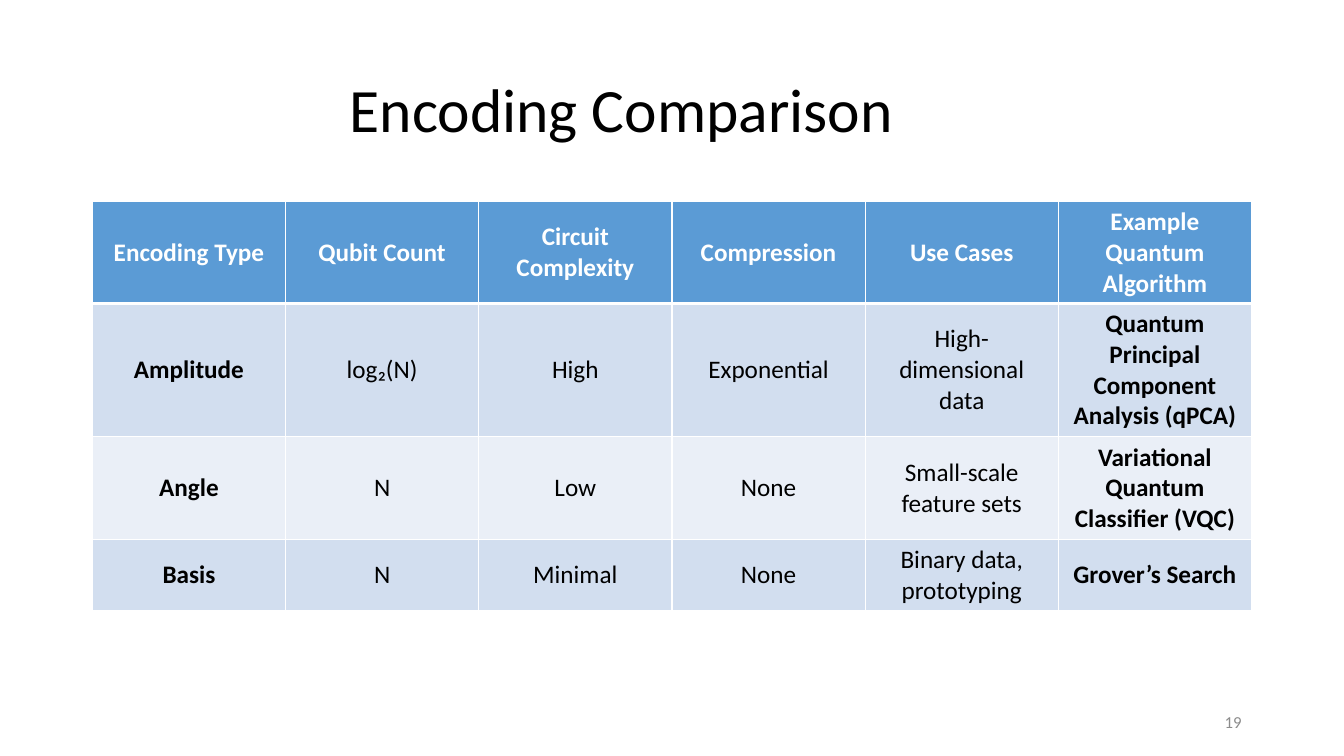
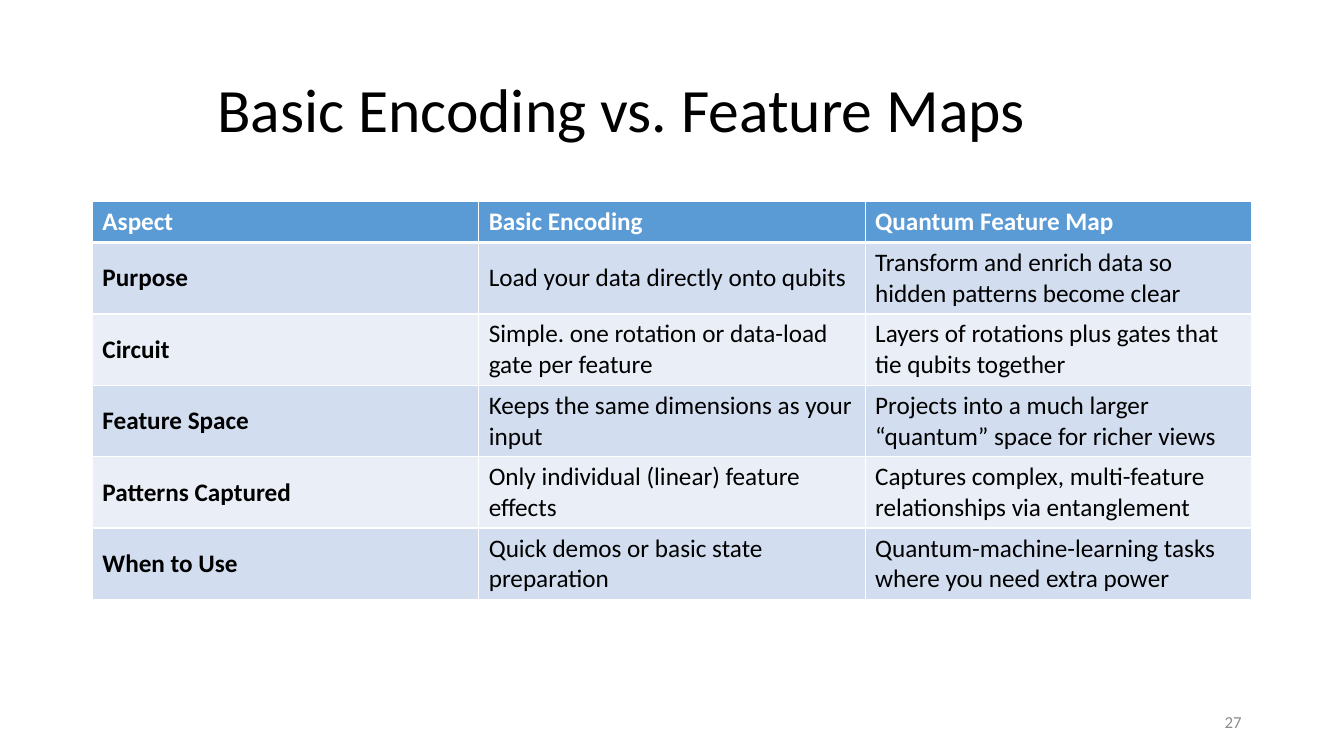
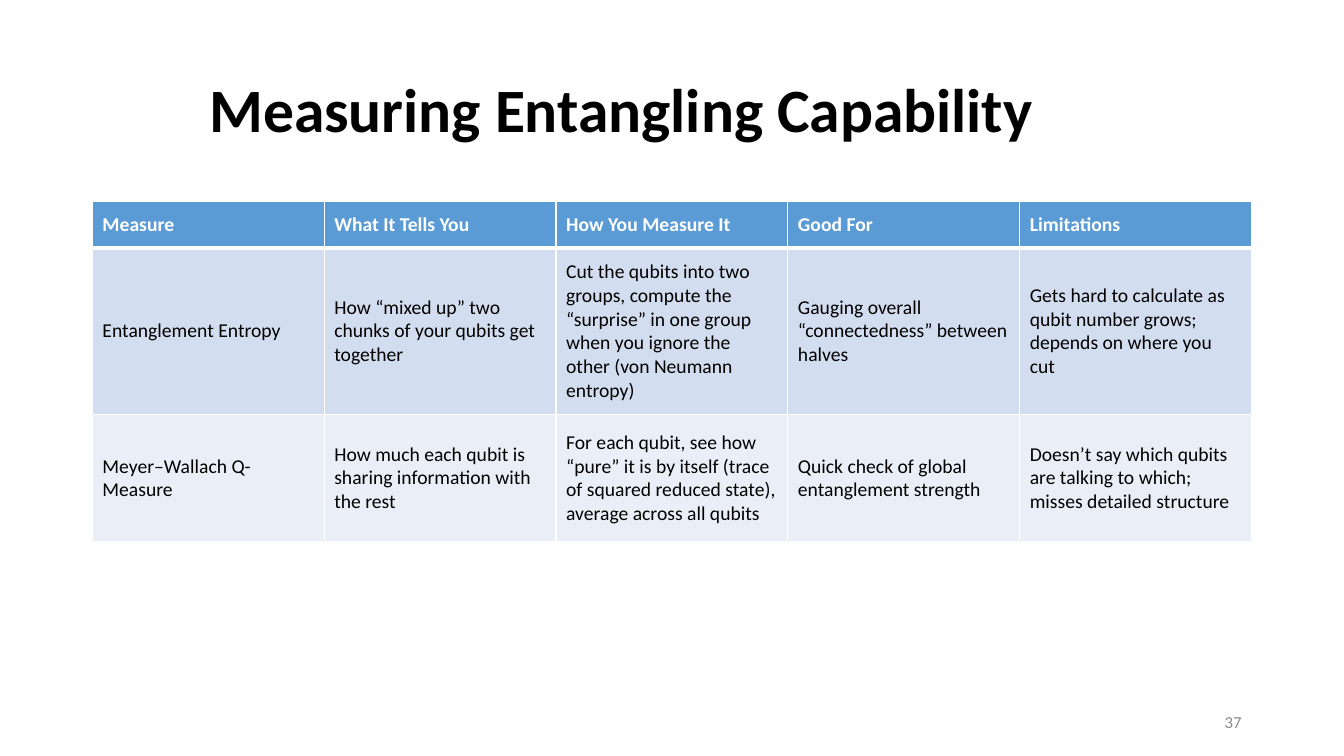
"""Build three table slides on quantum data encoding and entanglement."""
from dataclasses import dataclass

from lxml.etree import SubElement as Sub
from pptx import Presentation
from pptx.dml.color import RGBColor as Color
from pptx.enum.text import MSO_ANCHOR as Anchor, PP_ALIGN as Align
from pptx.oxml.ns import qn
from pptx.util import Pt


@dataclass(frozen=True)
class Theme:
    font: str = "Calibri"
    ink: str = "000000"
    white: str = "FFFFFF"
    head: str = "5B9BD5"
    odd: str = "D2DEEF"
    even: str = "EAEFF7"
    gray: str = "8C8C8C"
    title: int = 44
    foot: int = 12
    thin: int = 1
    thick: int = 3


PX = 9525
LEFT, TOP, WIDE = 88, 192, 1104
theme = Theme()

slides = [
    dict(
        title="Encoding Comparison", bold=False, page="19",
        size=18, align=Align.CENTER, strong=(0, 5), highs=(97, 127, 98, 68),
        rows=[
            ("Encoding Type", "Qubit Count", "Circuit Complexity", "Compression",
             "Use Cases", "Example Quantum Algorithm"),
            ("Amplitude", "log₂(N)", "High", "Exponential", "High-dimensional data",
             "Quantum Principal Component Analysis (qPCA)"),
            ("Angle", "N", "Low", "None", "Small-scale feature sets",
             "Variational Quantum Classifier (VQC)"),
            ("Basis", "N", "Minimal", "None", "Binary data, prototyping",
             "Grover’s Search"),
        ],
    ),
    dict(
        title="Basic Encoding vs. Feature Maps", bold=False, page="27",
        size=18, align=Align.LEFT, strong=(0,), highs=(39, 68, 68, 68, 68, 68),
        rows=[
            ("Aspect", "Basic Encoding", "Quantum Feature Map"),
            ("Purpose", "Load your data directly onto qubits",
             "Transform and enrich data so hidden patterns become clear"),
            ("Circuit", "Simple. one rotation or data-load gate per feature",
             "Layers of rotations plus gates that tie qubits together"),
            ("Feature Space", "Keeps the same dimensions as your input",
             "Projects into a much larger “quantum” space for richer views"),
            ("Patterns Captured", "Only individual (linear) feature effects",
             "Captures complex, multi-feature relationships via entanglement"),
            ("When to Use", "Quick demos or basic state preparation",
             "Quantum-machine-learning tasks where you need extra power"),
        ],
    ),
    dict(
        title="Measuring Entangling Capability", bold=True, page="37",
        size=14, align=Align.LEFT, strong=(), highs=(44, 159, 121),
        rows=[
            ("Measure", "What It Tells You", "How You Measure It", "Good For",
             "Limitations"),
            ("Entanglement Entropy",
             "How “mixed up” two chunks of your qubits get together",
             "Cut the qubits into two groups, compute the “surprise” in one group "
             "when you ignore the other (von Neumann entropy)",
             "Gauging overall “connectedness” between halves",
             "Gets hard to calculate as qubit number grows; depends on where you cut"),
            ("Meyer–Wallach Q-Measure",
             "How much each qubit is sharing information with the rest",
             "For each qubit, see how “pure” it is by itself (trace of squared "
             "reduced state), average across all qubits",
             "Quick check of global entanglement strength",
             "Doesn’t say which qubits are talking to which; misses detailed structure"),
        ],
    ),
]


def write(frame, text, size, color, align, bold=False):
    frame.word_wrap = True
    para = frame.paragraphs[0]
    para.text = text
    para.alignment = align
    font = para.font
    font.name, font.size, font.bold = theme.font, Pt(size), bold
    font.color.rgb = Color.from_string(color)
    return para


def label(slide, box, *style):
    shape = slide.shapes.add_textbox(*(n * PX for n in box))
    shape.text_frame.vertical_anchor = Anchor.MIDDLE
    return write(shape.text_frame, *style)


deck = Presentation()
deck.slide_width, deck.slide_height = 1280 * PX, 720 * PX

for item in slides:
    slide = deck.slides.add_slide(deck.slide_layouts[6])
    title = label(slide, (LEFT, 38, 1008, 139), item["title"], theme.title,
                  theme.ink, Align.CENTER, item["bold"])
    title.line_spacing = 0.9

    rows, highs = item["rows"], item["highs"]
    count = len(rows[0])
    table = slide.shapes.add_table(len(rows), count, LEFT * PX, TOP * PX,
                                   WIDE * PX, sum(highs) * PX).table
    for col in table.columns:
        col.width = WIDE * PX // count
    for r, (row, high) in enumerate(zip(rows, highs)):
        table.rows[r].height = high * PX
        head = r == 0
        fill = theme.head if head else theme.odd if r % 2 else theme.even
        for c, text in enumerate(row):
            cell = table.cell(r, c)
            cell.vertical_anchor = Anchor.MIDDLE
            props = cell._tc.get_or_add_tcPr()
            for side in "LRTB":
                thick = (r, side) in ((0, "B"), (1, "T"))
                width = Pt(theme.thick if thick else theme.thin)
                line = Sub(props, qn(f"a:ln{side}"), w=str(width))
                solid = Sub(line, qn("a:solidFill"))
                Sub(solid, qn("a:srgbClr"), val=theme.white)
            cell.fill.solid()
            cell.fill.fore_color.rgb = Color.from_string(fill)
            write(cell.text_frame, text, item["size"],
                  theme.white if head else theme.ink, item["align"],
                  head or c in item["strong"])

    label(slide, (904, 668, 288, 38), item["page"], theme.foot, theme.gray, Align.RIGHT)

deck.save("out.pptx")
